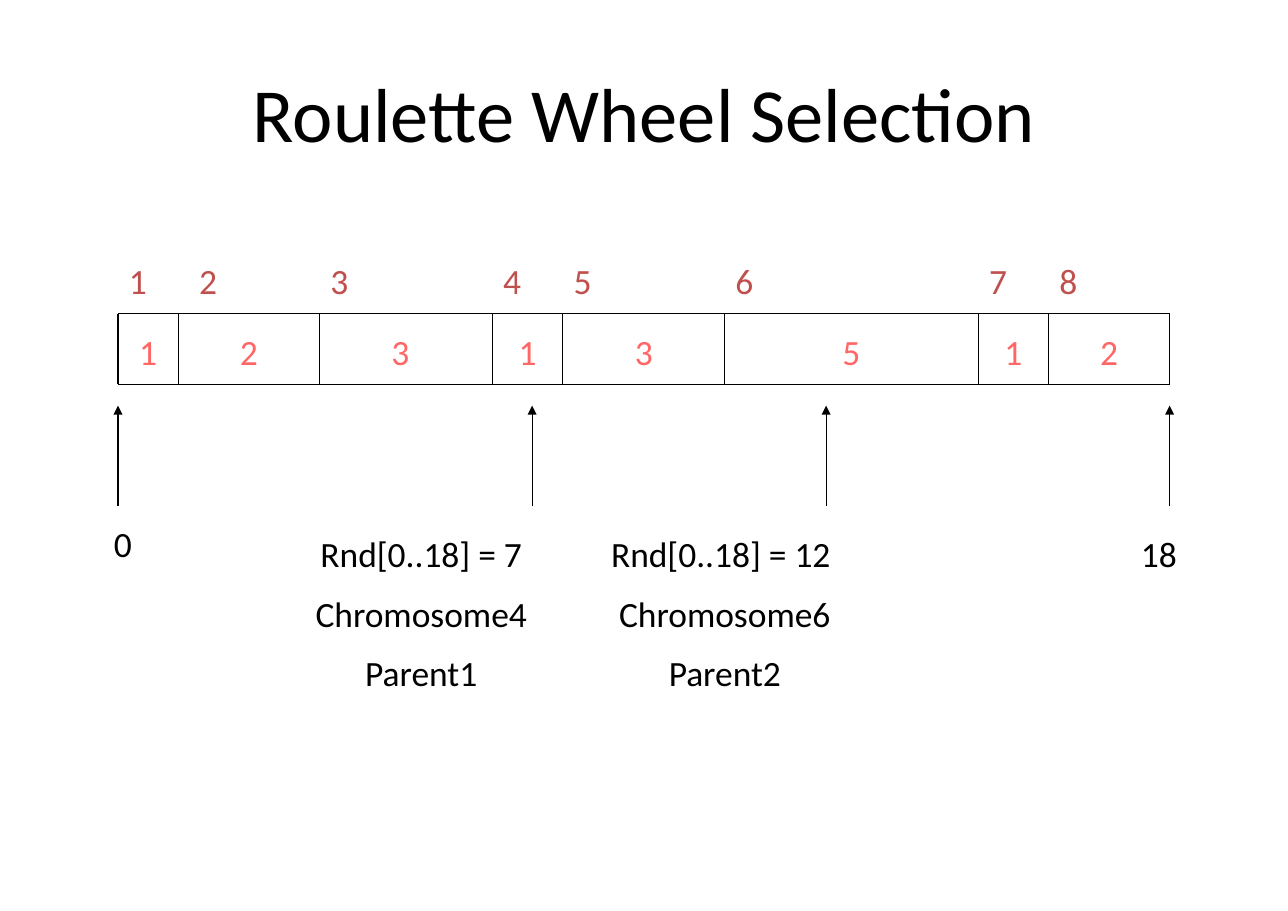
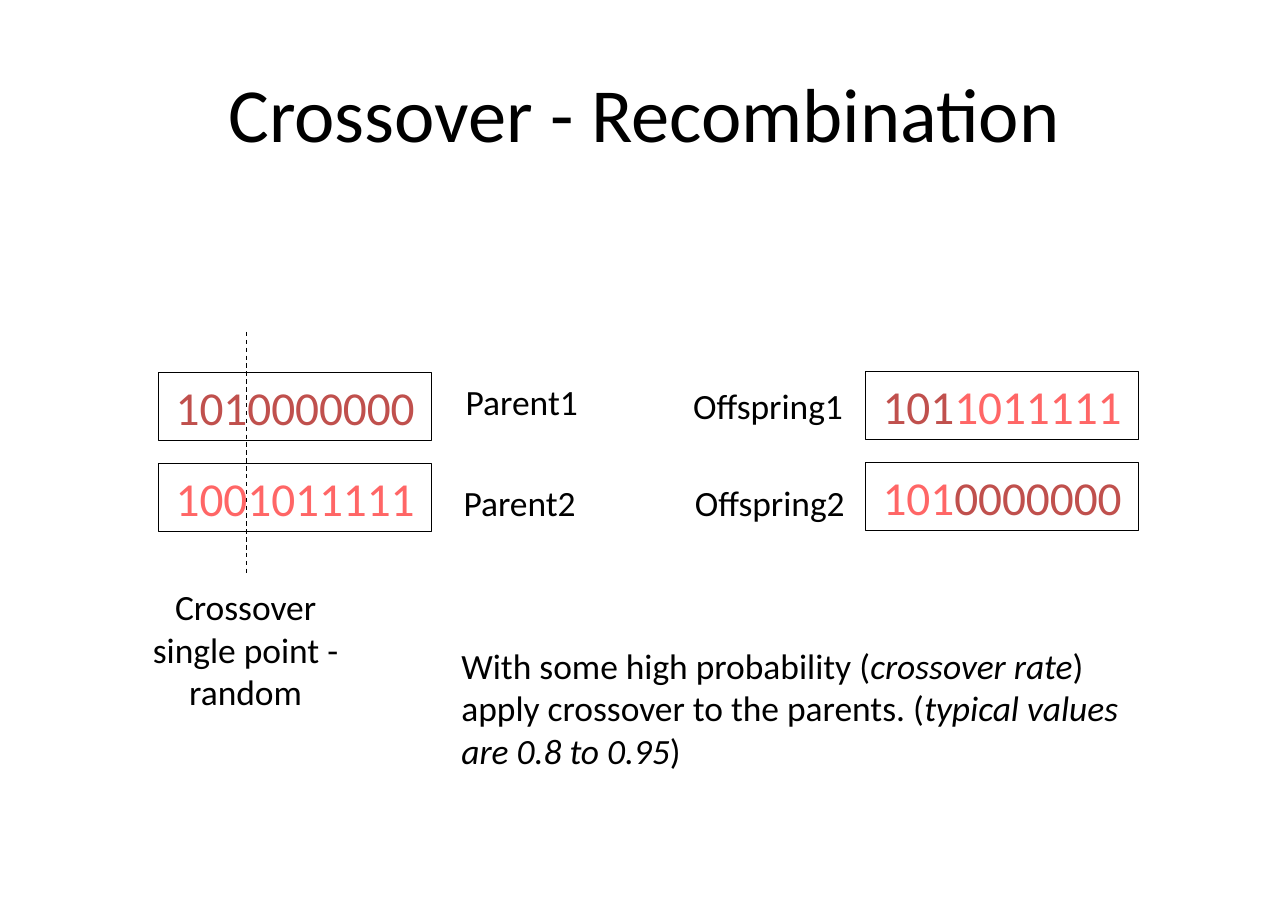
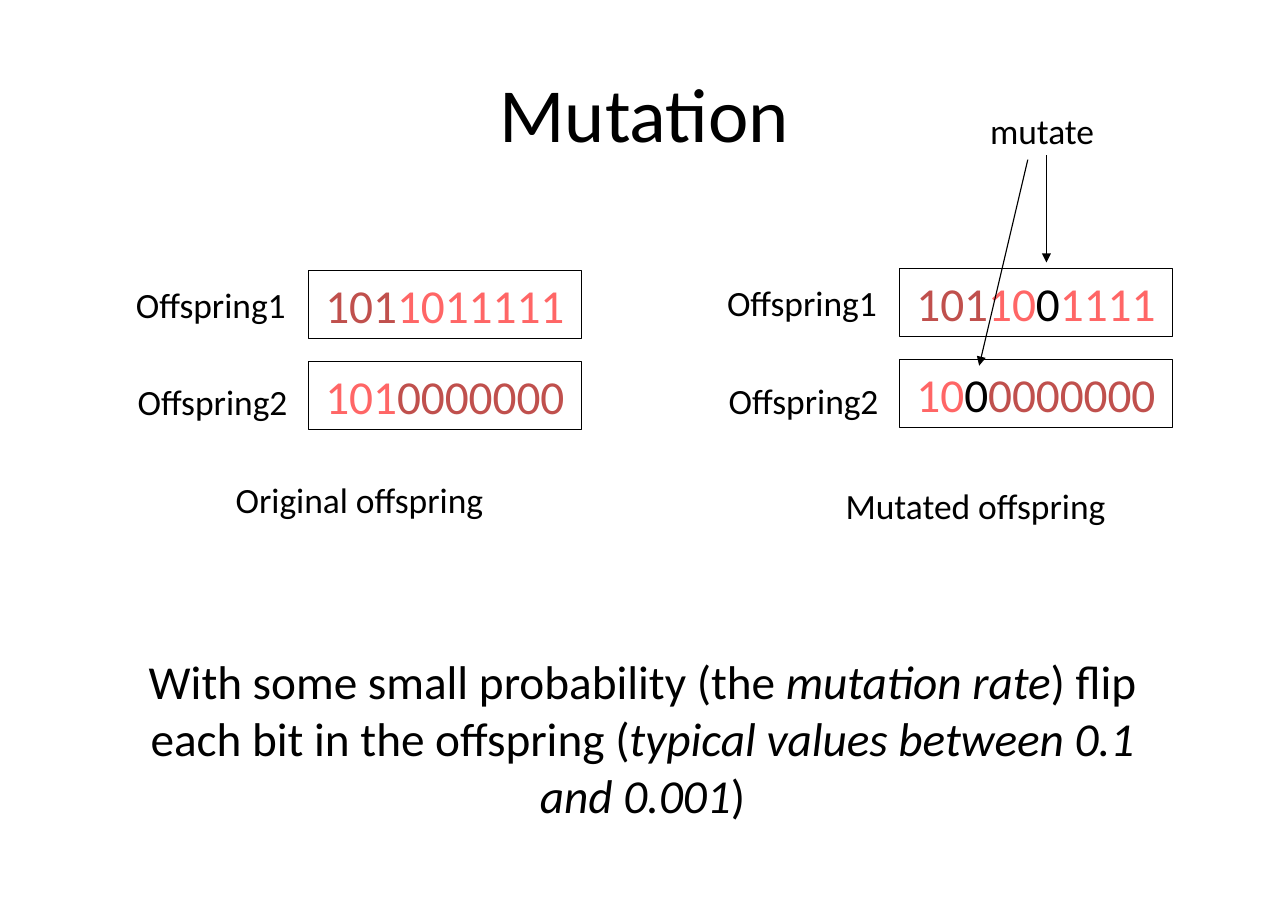
from typing import NamedTuple, Optional

from lxml.etree import SubElement
from pptx import Presentation
from pptx.dml.color import RGBColor
from pptx.enum.dml import MSO_LINE
from pptx.enum.shapes import MSO_CONNECTOR, MSO_SHAPE
from pptx.enum.text import MSO_ANCHOR, PP_ALIGN
from pptx.oxml.ns import qn
from pptx.util import Cm, Pt

BLACK = RGBColor(0x00, 0x00, 0x00)
BRICK = RGBColor(0xC0, 0x50, 0x4D)
CORAL = RGBColor(0xFF, 0x66, 0x66)

FONT = "Calibri"
TITLE_SIZE, BITS_SIZE, BODY_SIZE = 50, 30.9, 23.2
LINE_WIDTH = Pt(0.75)
LABEL_HEIGHT = 1.24
BITS_WIDTH, BITS_HEIGHT, BITS_PITCH = 6.3, 1.57, 2.1


class Run(NamedTuple):
    text: str
    color: Optional[RGBColor] = None
    italic: bool = False


def write(frame, *paragraphs, size=BODY_SIZE, color=BLACK, align=PP_ALIGN.LEFT,
          anchor=MSO_ANCHOR.TOP, inset=(0.25, 0.13)):
    """Fill a text frame; each paragraph is a string or a list of Runs."""
    frame.word_wrap = True
    frame.vertical_anchor = anchor
    frame.margin_left = frame.margin_right = Cm(inset[0])
    frame.margin_top = frame.margin_bottom = Cm(inset[1])
    for index, content in enumerate(paragraphs):
        paragraph = frame.paragraphs[0] if index == 0 else frame.add_paragraph()
        paragraph.alignment = align
        if index:
            paragraph.space_before = Pt(size / 2 - 0.6)
        for part in [Run(content)] if isinstance(content, str) else content:
            run = paragraph.add_run()
            run.text = part.text
            run.font.name = FONT
            run.font.size = Pt(size)
            run.font.italic = part.italic
            run.font.color.rgb = color if part.color is None else part.color


class Deck:
    def __init__(self):
        self.presentation = Presentation()
        self.presentation.slide_width = Cm(29.7)
        self.presentation.slide_height = Cm(21)
        self.slide = None

    def new_slide(self, title):
        blank = self.presentation.slide_layouts[6]
        self.slide = self.presentation.slides.add_slide(blank)
        self.text(1.5, 0.84, 26.72, title, height=3.5, size=TITLE_SIZE,
                  align=PP_ALIGN.CENTER, anchor=MSO_ANCHOR.MIDDLE, inset=(0.28, 0.15))

    def text(self, left, top, width, *paragraphs, height=LABEL_HEIGHT, **style):
        box = self.slide.shapes.add_textbox(Cm(left), Cm(top), Cm(width), Cm(height))
        write(box.text_frame, *paragraphs, **style)

    def line(self, start, end, dashed=False, arrow=False):
        line = self.slide.shapes.add_connector(
            MSO_CONNECTOR.STRAIGHT, *(Cm(value) for value in start + end))
        line.line.color.rgb = BLACK
        line.line.width = LINE_WIDTH
        if dashed:
            line.line.dash_style = MSO_LINE.DASH
        if arrow:
            SubElement(line.line._get_or_add_ln(), qn("a:tailEnd"), type="triangle")
        SubElement(line._element.spPr, qn("a:effectLst"))

    def chromosomes(self, left, top, *bit_strings):
        """Stack framed bit strings."""
        for index, bits in enumerate(bit_strings):
            frame = self.slide.shapes.add_shape(
                MSO_SHAPE.RECTANGLE, Cm(left), Cm(top + index * BITS_PITCH),
                Cm(BITS_WIDTH), Cm(BITS_HEIGHT))
            frame.shadow.inherit = False
            frame.fill.background()
            frame.line.color.rgb = BLACK
            frame.line.width = LINE_WIDTH
            write(frame.text_frame, bits, size=BITS_SIZE, align=PP_ALIGN.CENTER)

    def offspring(self, left, top, first, second):
        """Two framed bit strings with their names on the left."""
        self.chromosomes(left, top, first, second)
        self.text(left - 5.25, top + 0.17, 4.98, "Offspring1", align=PP_ALIGN.RIGHT)
        self.text(left - 5.21, top + 2.41, 4.98, "Offspring2", align=PP_ALIGN.RIGHT)


CROSSED = ([Run("101", BRICK), Run("1011111", CORAL)],
           [Run("101", CORAL), Run("0000000", BRICK)])
MUTATED = ([Run("101", BRICK), Run("10", CORAL), Run("0"), Run("1111", CORAL)],
           [Run("10", CORAL), Run("0"), Run("0000000", BRICK)])


def roulette_slide(deck):
    deck.new_slide("Roulette Wheel Selection")
    bar_top, bar_bottom, bar_right = 7.23, 8.86, 26.97
    # left edge, left of the chromosome number, fitness, width of the fitness label
    sectors = [
        (2.72, 2.72, 1, 1.39), (4.11, 4.34, 2, 3.26), (7.37, 7.37, 3, 3.73),
        (11.35, 11.35, 1, 1.63), (12.98, 12.98, 3, 3.73), (16.71, 16.71, 5, 5.85),
        (22.56, 22.56, 1, 1.62), (24.18, 24.18, 2, 2.79),
    ]
    bar_left = sectors[0][0]
    for y in (bar_top, bar_bottom):
        deck.line((bar_left, y), (bar_right, y))
    for x in [sector[0] for sector in sectors] + [bar_right]:
        deck.line((x, bar_top), (x, bar_bottom))
    for number, (left, number_left, fitness, width) in enumerate(sectors, 1):
        deck.text(number_left, 5.84, 1.8, str(number), color=BRICK)
        deck.text(left, 7.47, width, str(fitness), color=CORAL, align=PP_ALIGN.CENTER)

    for x in (bar_left, 12.27, 19.05, bar_right):
        deck.line((x, 11.66), (x, 9.35), arrow=True)
    deck.text(1.55, 11.91, 2.57, "0", align=PP_ALIGN.CENTER)
    deck.text(26.06, 12.14, 1.88, "18")
    draws = [(6.45, 6.53, "Rnd[0..18] = 7", "Chromosome4", "Parent1"),
             (13.21, 7.01, "Rnd[0..18] = 12 ", "Chromosome6", "Parent2")]
    for left, width, *lines in draws:
        deck.text(left, 12.14, width, *lines, height=4.22, align=PP_ALIGN.CENTER)


def crossover_slide(deck):
    deck.new_slide("Crossover - Recombination")
    deck.chromosomes(3.66, 8.58, [Run("1010000000", BRICK)], [Run("1001011111", CORAL)])
    deck.line((5.69, 7.65), (5.69, 13.26), dashed=True)
    deck.text(2.92, 13.36, 5.49, "Crossover single point - random", height=3.23,
              align=PP_ALIGN.CENTER)
    deck.text(10.49, 8.64, 4.72, "Parent1")
    deck.text(10.44, 10.97, 3.5, "Parent2")
    deck.offspring(19.96, 8.56, *CROSSED)
    deck.text(10.39, 14.71, 15.77, [
        Run("With some high probability ("), Run("crossover rate", italic=True),
        Run(") apply crossover to the parents. ("),
        Run("typical values are 0.8 to 0.95", italic=True), Run(")"),
    ], height=3.23)


def mutation_slide(deck):
    deck.new_slide("Mutation")
    deck.offspring(7.11, 6.23, *CROSSED)
    deck.offspring(20.74, 6.19, *MUTATED)
    deck.text(22.58, 2.39, 3.53, "mutate")
    deck.line((24.13, 3.58), (24.13, 6.05), arrow=True)
    deck.line((23.7, 3.68), (22.58, 8.43), arrow=True)
    deck.text(3.73, 10.9, 9.12, "Original offspring", align=PP_ALIGN.CENTER)
    deck.text(19.25, 11.02, 7.7, "Mutated offspring")
    deck.text(3.12, 14.91, 23.39, [
        Run("With some small probability (the "), Run("mutation rate", italic=True),
        Run(") flip each bit in the offspring ("),
        Run("typical values between 0.1 and 0.001", italic=True), Run(")"),
    ], height=4.22, size=BITS_SIZE, align=PP_ALIGN.CENTER)


def main():
    deck = Deck()
    roulette_slide(deck)
    crossover_slide(deck)
    mutation_slide(deck)
    deck.presentation.save("out.pptx")


if __name__ == "__main__":
    main()
